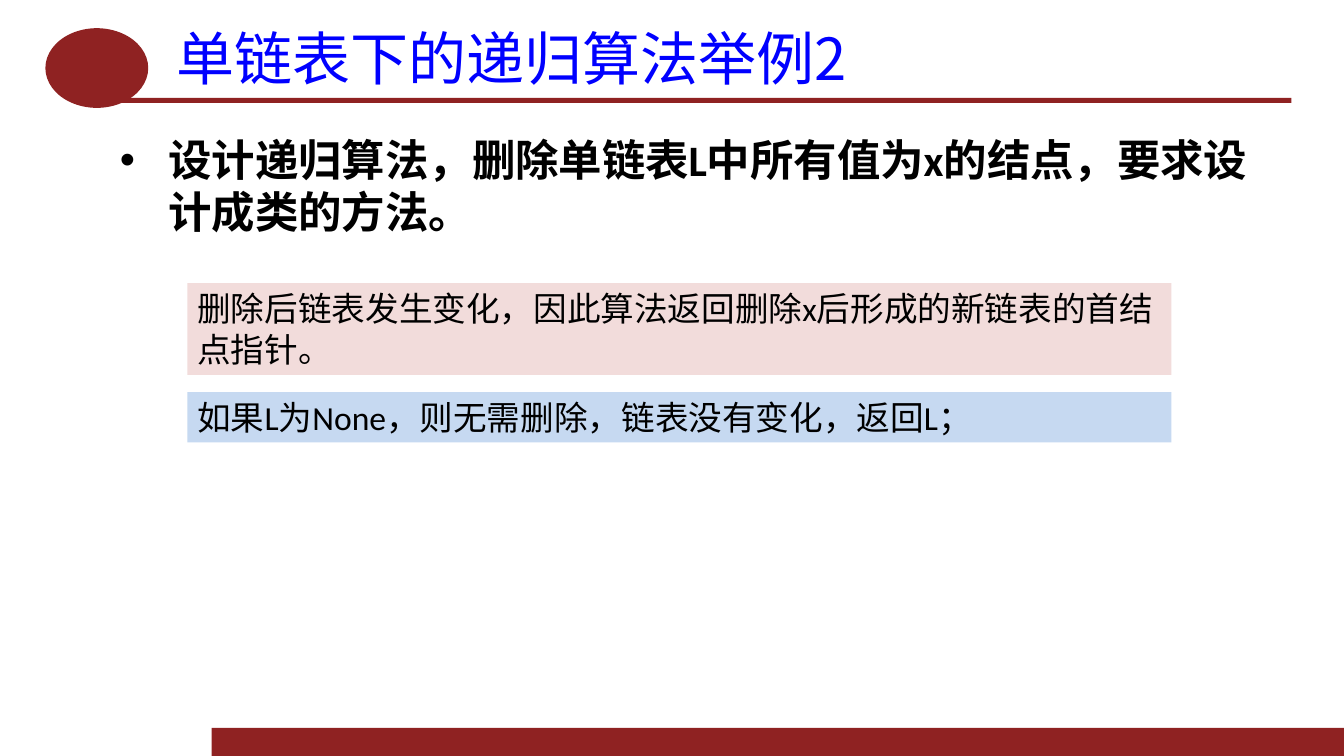
"""Build the slide on a recursive deletion from a singly linked list."""
from dataclasses import dataclass

from lxml import etree
from pptx import Presentation
from pptx.dml.color import RGBColor
from pptx.enum.shapes import MSO_SHAPE
from pptx.enum.text import MSO_ANCHOR, MSO_AUTO_SIZE, PP_ALIGN
from pptx.oxml.ns import qn
from pptx.util import Inches, Pt

MAROON = RGBColor(0x8F, 0x22, 0x22)
BLUE = RGBColor(0x00, 0x00, 0xFF)
BLACK = RGBColor(0x00, 0x00, 0x00)
PALE_BLUE = RGBColor(0xC6, 0xD9, 0xF1)
PALE_PINK = RGBColor(0xF2, 0xDC, 0xDB)
LATIN_FONT = "Calibri"
CJK_FONT = "Noto Sans CJK SC"


@dataclass(frozen=True)
class Block:
    """A filled shape with its place in inches and optional text."""

    left: float
    top: float
    width: float
    height: float
    fill: RGBColor
    text: str = ""
    kind: MSO_SHAPE = MSO_SHAPE.RECTANGLE


BLOCKS = (
    Block(2.1, 7.22, 11.23, 0.28, MAROON),
    Block(1.18, 0.97, 11.63, 0.05, MAROON),
    Block(0.45, 0.28, 1.02, 0.79, MAROON, kind=MSO_SHAPE.OVAL),
    Block(1.86, 2.81, 9.76, 0.91, PALE_PINK,
          "删除后链表发生变化，因此算法返回删除x后形成的新链表的首结点指针。"),
    Block(1.86, 3.89, 9.76, 0.5, PALE_BLUE,
          "如果L为None，则无需删除，链表没有变化，返回L；"),
)


def place(sp, left: float, top: float, width: float, height: float) -> None:
    """Move and size a shape, in inches."""
    sp.left, sp.top = Inches(left), Inches(top)
    sp.width, sp.height = Inches(width), Inches(height)


def write(sp, text: str, *, size: float, font: str = LATIN_FONT,
          color: RGBColor = BLACK, bold: bool = False,
          align: PP_ALIGN = PP_ALIGN.LEFT, anchor: MSO_ANCHOR = MSO_ANCHOR.TOP,
          inset: tuple[float, float] = (0.1, 0.05), bullet: str = "",
          indent: float = 0, after: float = 0) -> None:
    """Write one formatted paragraph into a shape."""
    tf = sp.text_frame
    tf.word_wrap = True
    tf.auto_size = MSO_AUTO_SIZE.NONE
    tf.vertical_anchor = anchor
    tf.margin_left = tf.margin_right = Inches(inset[0])
    tf.margin_top = tf.margin_bottom = Inches(inset[1])
    p = tf.paragraphs[0]
    p.alignment = align
    p.space_before, p.space_after = Pt(0), Pt(after)
    if bullet:
        pr = p._p.get_or_add_pPr()
        pr.set("marL", str(Inches(indent)))
        pr.set("indent", str(-Inches(indent)))
        etree.SubElement(pr, qn("a:buChar"), char=bullet)
    r = p.add_run()
    r.text = text
    r.font.size, r.font.bold, r.font.name = Pt(size), bold, font
    r.font.color.rgb = color
    etree.SubElement(r._r.get_or_add_rPr(), qn("a:ea"), typeface=CJK_FONT)


def add_block(s, block: Block) -> None:
    """Draw a block and its text, if it has any."""
    sp = s.shapes.add_shape(block.kind, 0, 0, 0, 0)
    place(sp, block.left, block.top, block.width, block.height)
    sp.shadow.inherit = False
    sp.fill.solid()
    sp.fill.fore_color.rgb = block.fill
    sp.line.fill.background()
    if block.text:
        write(sp, block.text, size=24)


def main() -> None:
    """Build and save the slide."""
    prs = Presentation()
    prs.slide_width, prs.slide_height = Inches(13.33), Inches(7.5)
    s = prs.slides.add_slide(prs.slide_layouts[1])
    title, body = s.shapes.title, s.placeholders[1]
    place(title, 1.62, 0.21, 11.19, 0.71)
    write(title, "单链表下的递归算法举例2", size=41.4, font=CJK_FONT, color=BLUE,
          align=PP_ALIGN.JUSTIFY, anchor=MSO_ANCHOR.MIDDLE, inset=(0.13, 0.06))
    place(body, 1.06, 1.26, 11.74, 5.32)
    write(body, "设计递归算法，删除单链表L中所有值为x的结点，要求设计成类的方法。",
          size=31, bold=True, inset=(0.13, 0.06), bullet="•", indent=0.48, after=7.7)
    for block in BLOCKS:
        add_block(s, block)
    prs.save("out.pptx")


if __name__ == "__main__":
    main()
